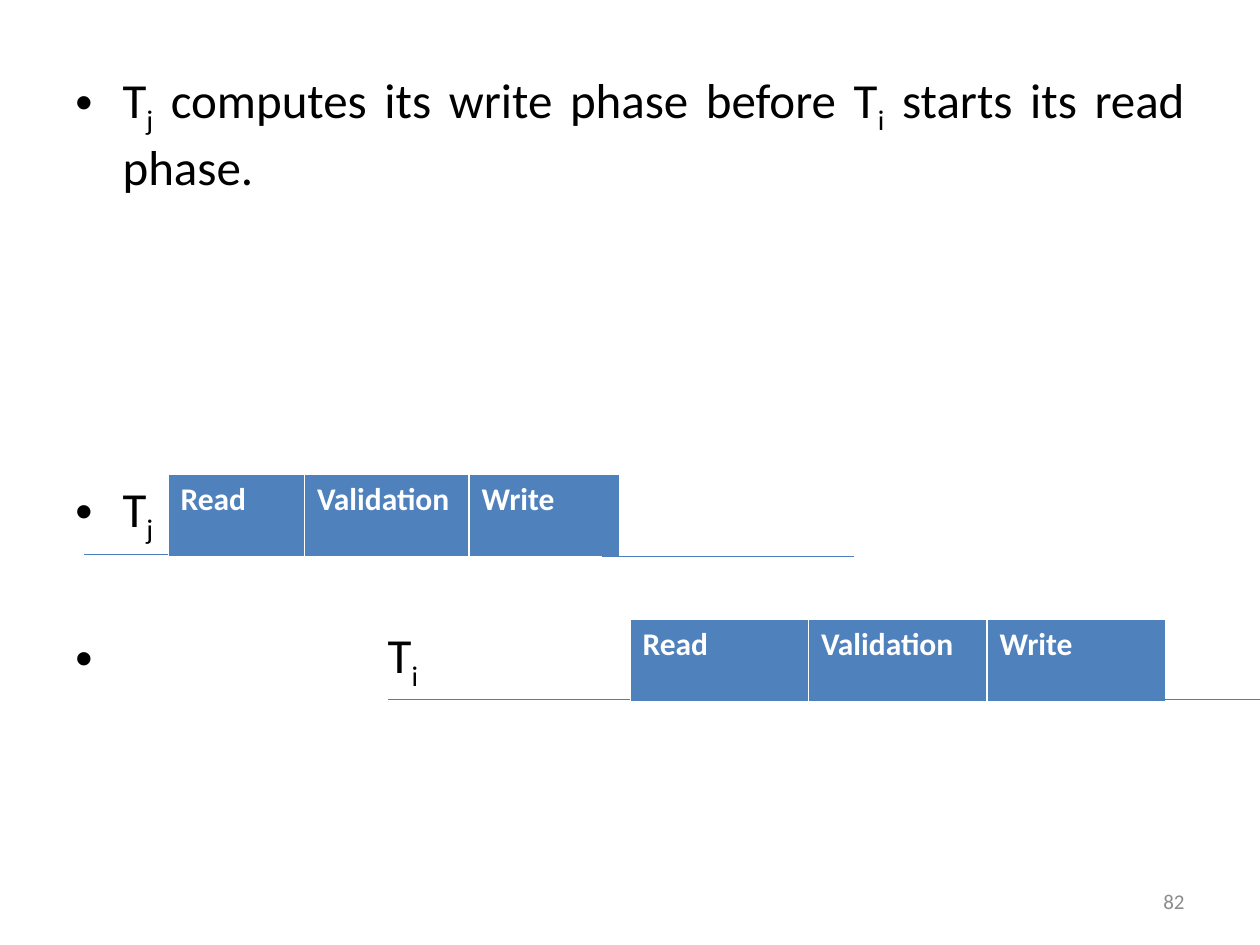
from dataclasses import dataclass

from pptx import Presentation
from pptx.dml.color import RGBColor
from pptx.enum.shapes import MSO_CONNECTOR
from pptx.enum.text import MSO_ANCHOR, PP_ALIGN
from pptx.oxml.ns import qn
from pptx.util import Pt
from lxml.etree import SubElement as Sub


@dataclass(frozen=True)
class Theme:
    font: str = "Calibri"
    text: str = "000000"
    muted: str = "8C8C8C"
    fill: str = "4F81BD"
    line: str = "4B7EBC"
    white: str = "FFFFFF"
    body_size: int = 28
    cell_size: int = 18
    number_size: int = 12


T = Theme()
PHASES = ("Read", "Validation", "Write")


def style_run(r, size, color, bold=False):
    r.font.name = T.font
    r.font.size = Pt(size)
    r.font.bold = bold
    r.font.color.rgb = RGBColor.from_string(color)


def add_box(s, x, y, w, h):
    tf = s.shapes.add_textbox(Pt(x), Pt(y), Pt(w), Pt(h)).text_frame
    tf.word_wrap = True
    return tf


def add_bullet(p, parts, hang, before=0):
    """Write a bulleted paragraph; every second part is a subscript."""
    p.alignment = PP_ALIGN.JUSTIFY
    p.space_before = Pt(before)
    pPr = p._p.get_or_add_pPr()
    pPr.set("marL", str(Pt(hang)))
    pPr.set("indent", str(-Pt(hang)))
    Sub(pPr, qn("a:buFont"), typeface="Arial")
    Sub(pPr, qn("a:buChar"), char="•")
    for i, part in enumerate(parts):
        r = p.add_run()
        r.text = part
        style_run(r, T.body_size, T.text)
        if i % 2:
            r._r.get_or_add_rPr().set("baseline", "-25000")


def set_borders(cell):
    tcPr = cell._tc.get_or_add_tcPr()
    for i, (side, width) in enumerate((("L", 1), ("R", 1), ("T", 1), ("B", 3))):
        ln = tcPr.makeelement(qn(f"a:ln{side}"), {"w": str(Pt(width))})
        Sub(Sub(ln, qn("a:solidFill")), qn("a:srgbClr"), val=T.white)
        tcPr.insert(i, ln)


def add_phases(s, x, y, widths, height=48):
    table = s.shapes.add_table(1, len(PHASES), Pt(x), Pt(y),
                               Pt(sum(widths)), Pt(height)).table
    for i, (name, width) in enumerate(zip(PHASES, widths)):
        table.columns[i].width = Pt(width)
        cell = table.cell(0, i)
        cell.fill.solid()
        cell.fill.fore_color.rgb = RGBColor.from_string(T.fill)
        set_borders(cell)
        cell.text_frame.text = name
        style_run(cell.text_frame.paragraphs[0].runs[0],
                  T.cell_size, T.white, bold=True)


def add_timeline(s, x1, x2, y):
    line = s.shapes.add_connector(MSO_CONNECTOR.STRAIGHT,
                                  Pt(x1), Pt(y), Pt(x2), Pt(y))
    line.line.color.rgb = RGBColor.from_string(T.line)
    line.line.width = Pt(0.75)
    Sub(line._element.spPr, qn("a:effectLst"))


def main():
    prs = Presentation()
    prs.slide_width, prs.slide_height = Pt(720), Pt(540)
    s = prs.slides.add_slide(prs.slide_layouts[6])

    # Statement and transaction labels
    tf = add_box(s, 36, 36, 648, 446.4)
    statement = ("T", "j", " computes its write phase before T", "i",
                 " starts its read phase.")
    add_bullet(tf.paragraphs[0], statement, hang=27)
    add_bullet(tf.add_paragraph(), ("T", "j"), hang=27, before=162)
    add_bullet(tf.add_paragraph(), ("T", "i"), hang=178.5, before=45.5)

    # Slide number
    tf = add_box(s, 516, 500.5, 168, 28.75)
    tf.vertical_anchor = MSO_ANCHOR.MIDDLE
    tf.text = "82"
    p = tf.paragraphs[0]
    p.alignment = PP_ALIGN.RIGHT
    style_run(p.runs[0], T.number_size, T.muted)

    # Phases of each transaction
    add_phases(s, 96, 271.2, (78, 94, 86))
    add_phases(s, 360, 354, (102, 102, 102))

    # Timelines before and after the phases
    for x1, x2, y in ((344, 488, 318), (96, 48, 316.8),
                      (360, 222, 399.6), (660, 720, 399.6)):
        add_timeline(s, x1, x2, y)

    prs.save("out.pptx")


if __name__ == "__main__":
    main()
